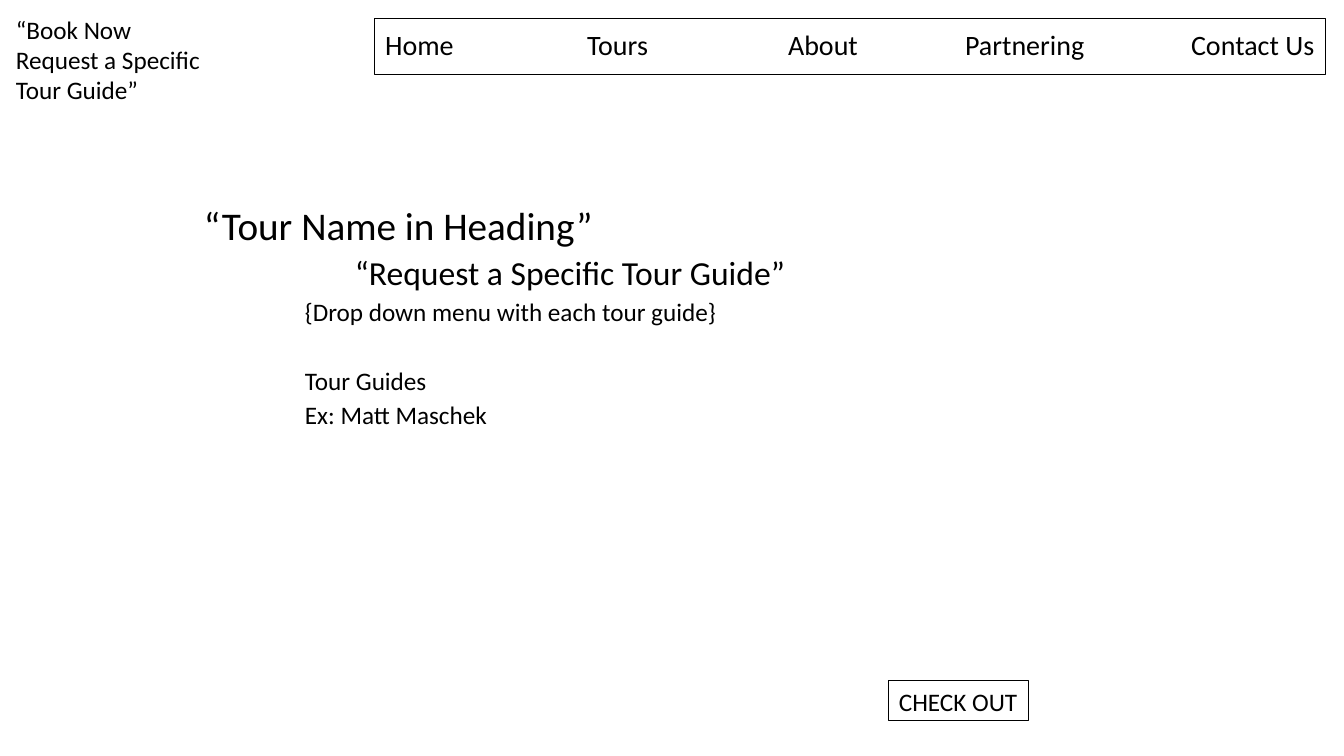
"""Build the tour guide request page wireframe."""
from lxml import etree
from pptx import Presentation, util as u
from pptx.dml.color import RGBColor
from pptx.enum import shapes, text
from pptx.oxml.ns import qn

SCALE = 914400 / 100.8


def px(n):
    return u.Emu(round(n * SCALE))


def rgb(value):
    return RGBColor.from_string(value)


class Page:
    font = "Calibri"
    ink = "000000"

    def __init__(self, prs):
        self.s = prs.slides.add_slide(prs.slide_layouts[5])

    def place(self, sp, box):
        for name, n in zip(("left", "top", "width", "height"), box):
            setattr(sp, name, px(n))

    def outline(self, sp):
        sp.fill.background()
        sp.line.color.rgb = rgb(self.ink)
        sp.line.width = u.Pt(0.75)

    def fill_text(self, tf, rows, wrap=True, anchor=text.MSO_ANCHOR.TOP,
                  fit=text.MSO_AUTO_SIZE.NONE):
        frame = dict(word_wrap=wrap, vertical_anchor=anchor, auto_size=fit)
        for name, value in frame.items():
            setattr(tf, name, value)
        for i, (words, size, indent, form) in enumerate(rows):
            p = tf.paragraphs[0] if i == 0 else tf.add_paragraph()
            p.alignment = text.PP_ALIGN.LEFT
            for name, value in form.items():
                setattr(p, name, value)
            p._p.get_or_add_pPr().set("marL", str(px(indent)))
            r = p.add_run()
            r.text = words
            for name, value in dict(name=self.font, size=u.Pt(size)).items():
                setattr(r.font, name, value)
            r.font.color.rgb = rgb(self.ink)

    def menu(self, box, items, stops):
        sp = self.s.shapes.title
        self.place(sp, box)
        self.outline(sp)
        self.fill_text(sp.text_frame, [("\t".join(items), 20, 0, {"line_spacing": 0.9})],
                       anchor=text.MSO_ANCHOR.MIDDLE)
        pPr = sp.text_frame.paragraphs[0]._p.get_or_add_pPr()
        tabs = etree.SubElement(pPr, qn("a:tabLst"))
        for stop in stops:
            etree.SubElement(tabs, qn("a:tab"), pos=str(px(stop)), algn="l")

    def label(self, box, rows, **frame):
        sp = self.s.shapes.add_textbox(*map(px, box))
        self.fill_text(sp.text_frame, rows, **frame)

    def button(self, box, words):
        sp = self.s.shapes.add_shape(shapes.MSO_SHAPE.RECTANGLE, *map(px, box))
        sp.shadow.inherit = False
        self.outline(sp)
        self.fill_text(sp.text_frame, [(words, 18, 0, {})], wrap=False,
                       fit=text.MSO_AUTO_SIZE.SHAPE_TO_FIT_TEXT)


def spaced(before):
    return {"line_spacing": 0.9, "space_before": u.Pt(before)}


def main():
    prs = Presentation()
    prs.slide_width, prs.slide_height = px(1344), px(756)
    page = Page(prs)
    page.label((93, 202, 1159, 480), [
        ("“Tour Name in Heading”", 28, 101, spaced(10)),
        ("“Request a Specific Tour Guide”", 24, 252, spaced(5)),
        ("{Drop down menu with each tour guide}", 18, 202, spaced(5)),
        ("Tour Guides", 18, 202, spaced(30)),
        ("Ex: Matt Maschek", 18, 202, spaced(5)),
    ])
    page.menu((375, 18, 951, 57),
              ("Home", "Tours", "About", "Partnering", "Contact Us"),
              (202, 403, 580, 806))
    page.button((889, 681, 140, 40), "CHECK OUT")
    lines = ("“Book Now", "Request a Specific", "Tour Guide”")
    page.label((6, 9, 207, 132), [(line, 18, 0, {}) for line in lines],
               wrap=False, fit=text.MSO_AUTO_SIZE.SHAPE_TO_FIT_TEXT)
    prs.save("out.pptx")


if __name__ == "__main__":
    main()
